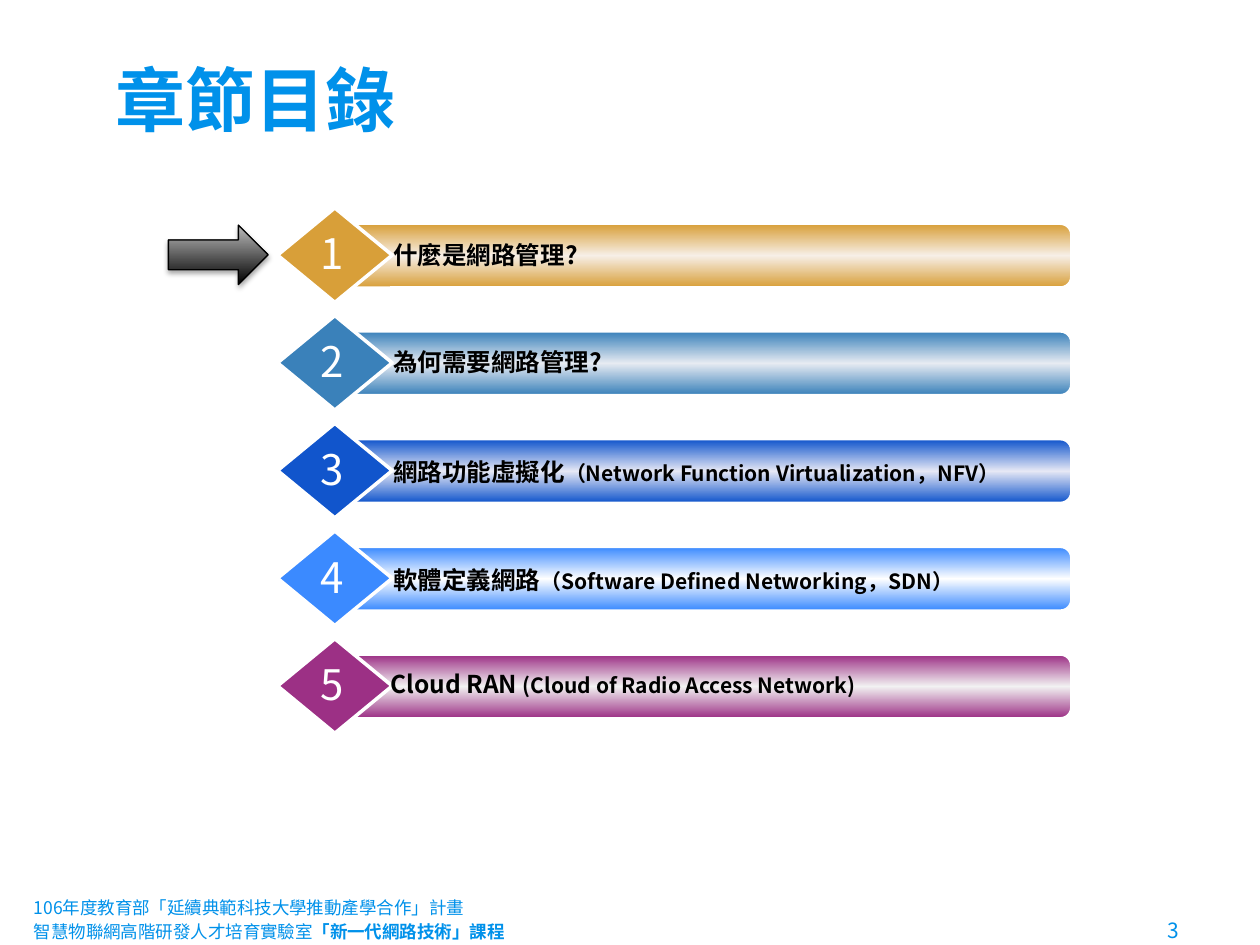
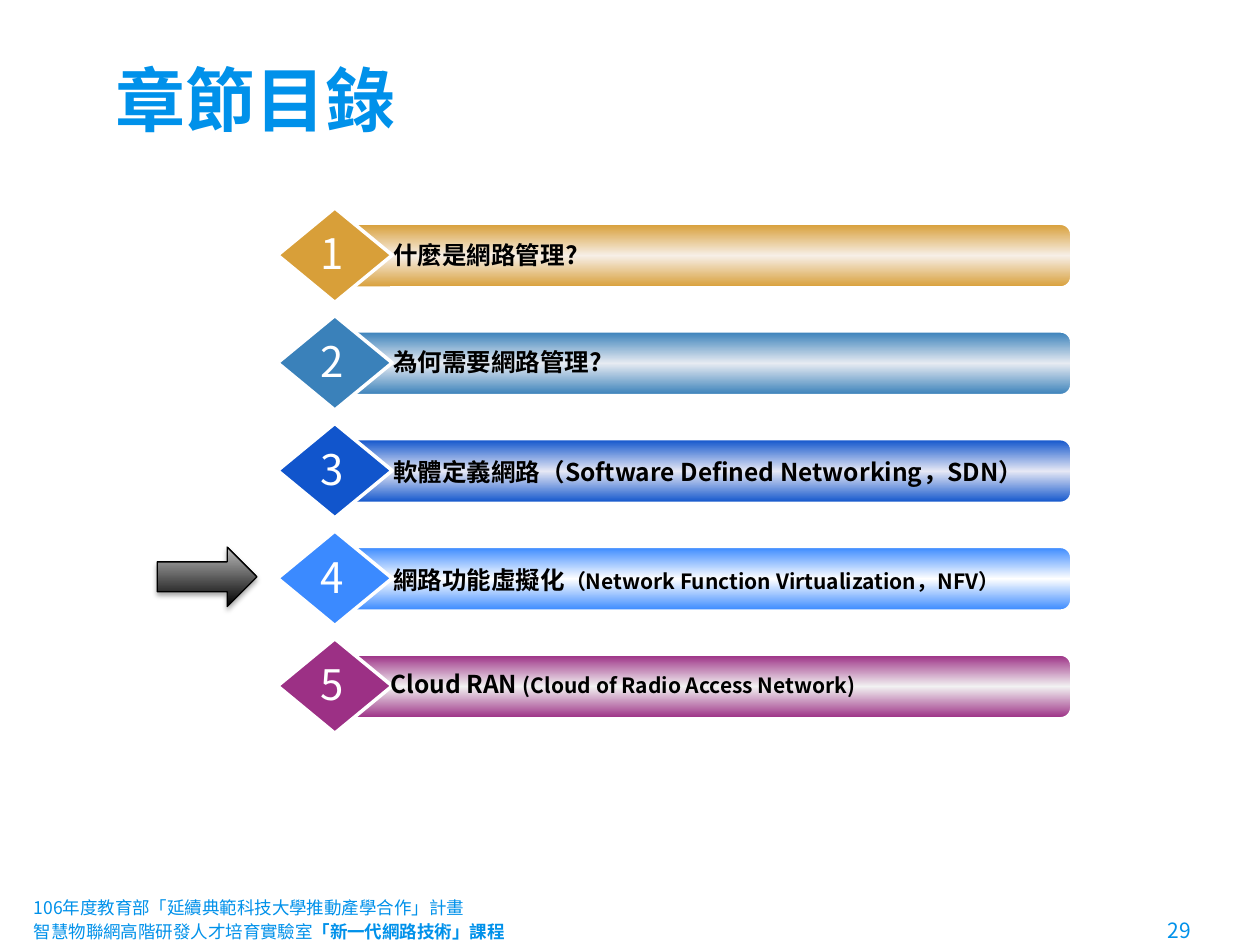
import pptx
import pptx.dml.color
import pptx.enum.shapes
import pptx.enum.text
import pptx.oxml
import pptx.oxml.ns
import pptx.util
from lxml import etree

Pt = pptx.util.Pt
RGBColor = pptx.dml.color.RGBColor
SHAPE = pptx.enum.shapes.MSO_SHAPE
ALIGN = pptx.enum.text.PP_ALIGN
ANCHOR = pptx.enum.text.MSO_ANCHOR
qn = pptx.oxml.ns.qn

# Shared style
FONT = "Noto Sans CJK SC"
SKY = RGBColor(0x00, 0x91, 0xEA)
BLACK = RGBColor(0x00, 0x00, 0x00)
WHITE = RGBColor(0xFF, 0xFF, 0xFF)
SILVER = RGBColor(0xBD, 0xBD, 0xBD)

# Edge colour and middle colour of each chapter row
ROW_COLOURS = [
    (RGBColor(0xD8, 0x9F, 0x39), RGBColor(0xF7, 0xEF, 0xE7)),
    (RGBColor(0x3A, 0x81, 0xBA), RGBColor(0xE7, 0xEB, 0xF2)),
    (RGBColor(0x11, 0x55, 0xCC), RGBColor(0xE6, 0xE8, 0xF5)),
    (RGBColor(0x3B, 0x8A, 0xFF), WHITE),
    (RGBColor(0x9C, 0x30, 0x85), RGBColor(0xF2, 0xF2, 0xF2)),
]
# Left edge of each label, and its drop below the top of the row
LABEL_PLACES = [(217.5, 15), (217.5, 14.2), (217.5, 15.8), (217.5, 15.8), (216, 13.8)]
ROW_TOP, ROW_PITCH = 118.8, 61.55

# Chapter labels: (text, size) pieces
WHAT = [("什麼是網路管理?", 14)]
WHY = [("為何需要網路管理?", 14)]
NFV = [("網路功能虛擬化", 14), ("（Network Function Virtualization，NFV）", 12)]
SDN = [("軟體定義網路", 14), ("（Software Defined Networking，SDN）", 12)]
SDN_LARGE = [("軟體定義網路（Software Defined Networking，SDN）", 14)]
CLOUD_RAN = [("Cloud RAN ", 14), ("(Cloud of Radio Access Network)", 12)]


def add_span(para, text, size, colour, bold=False):
    span = para.add_run()
    span.text = text
    span.font.name = FONT
    span.font.size = Pt(size)
    span.font.bold = bold
    span.font.color.rgb = colour
    east_asian = etree.SubElement(span.font._element, qn("a:ea"))
    east_asian.set("typeface", FONT)


def add_text(shapes, left, top, width, height, pieces, *, colour=BLACK,
             bold=False, align=ALIGN.LEFT, wrap=True):
    box = shapes.add_textbox(Pt(left), Pt(top), Pt(width), Pt(height))
    box.text_frame.word_wrap = wrap
    para = box.text_frame.paragraphs[0]
    para.alignment = align
    for text, size in pieces:
        add_span(para, text, size, colour, bold)
    return box


def add_outlined(shapes, kind, left, top, width, height, line_colour, line_width):
    shape = shapes.add_shape(kind, Pt(left), Pt(top), Pt(width), Pt(height))
    shape.shadow.inherit = False
    shape.line.color.rgb = line_colour
    shape.line.width = Pt(line_width)
    return shape


def fill_gradient(shape, colours, angle):
    """Spread the colours evenly; the angle runs clockwise in degrees."""
    shape.fill.gradient()
    gradient = shape._element.spPr.find(qn("a:gradFill"))
    stops = gradient.find(qn("a:gsLst"))
    for stop in list(stops):
        stops.remove(stop)
    for index, colour in enumerate(colours):
        stop = etree.SubElement(stops, qn("a:gs"))
        stop.set("pos", str(100000 * index // (len(colours) - 1)))
        etree.SubElement(stop, qn("a:srgbClr")).set("val", str(colour))
    gradient.find(qn("a:lin")).set("ang", str(angle * 60000))


def add_drop_shadow(shape, blur, distance, opacity):
    effects = shape._element.spPr.find(qn("a:effectLst"))
    shadow = etree.SubElement(effects, qn("a:outerShdw"))
    shadow.set("blurRad", str(Pt(blur)))
    shadow.set("dist", str(Pt(distance)))
    shadow.set("dir", str(90 * 60000))
    shadow.set("rotWithShape", "0")
    colour = etree.SubElement(shadow, qn("a:srgbClr"))
    colour.set("val", str(BLACK))
    etree.SubElement(colour, qn("a:alpha")).set("val", str(opacity * 1000))


def add_title(page, text):
    title = page.shapes.title
    title.left, title.top, title.width, title.height = Pt(59), Pt(14.4), Pt(596), Pt(73.4)
    frame = title.text_frame
    frame.margin_left = frame.margin_right = Pt(7.2)
    frame.margin_top = frame.margin_bottom = Pt(7.2)
    frame.vertical_anchor = ANCHOR.BOTTOM
    para = frame.paragraphs[0]
    para.alignment = ALIGN.LEFT
    add_span(para, text, 40, SKY, bold=True)


def add_footer(page, number):
    box = add_text(page.shapes, 12.24, 511.2, 695.5, 28.8,
                   [("106年度教育部「延續典範科技大學推動產學合作」計畫", 10)], colour=SKY)
    box.text_frame.vertical_anchor = ANCHOR.MIDDLE
    para = box.text_frame.add_paragraph()
    tabs = etree.SubElement(para._p.get_or_add_pPr(), qn("a:tabLst"))
    tab = etree.SubElement(tabs, qn("a:tab"))
    tab.set("pos", str(Pt(648)))
    tab.set("algn", "l")
    add_span(para, "智慧物聯網高階研發人才培育實驗室", 10, SKY)
    add_span(para, "「新一代網路技術」課程", 10, SKY, bold=True)
    add_span(para, f"\t{number}", 12, SKY)


def add_chapter(page, index, label):
    top = ROW_TOP + index * ROW_PITCH
    edge, middle = ROW_COLOURS[index]
    shapes = page.shapes.add_group_shape().shapes
    bar = add_outlined(shapes, SHAPE.ROUNDED_RECTANGLE, 195, top + 9.3, 417, 36, WHITE, 1)
    bar.adjustments[0] = 0.167
    fill_gradient(bar, [edge, middle, edge], 90)
    diamond = add_outlined(shapes, SHAPE.DIAMOND, 158.6, top, 65.5, 54, WHITE, 2)
    diamond.fill.solid()
    diamond.fill.fore_color.rgb = edge
    add_text(shapes, 175.5, top + 7.9, 29, 36.4, [(str(index + 1), 24)],
             colour=WHITE, align=ALIGN.CENTER, wrap=False)
    left, drop = LABEL_PLACES[index]
    add_text(shapes, left, top + drop, 389.5, 24.5, label, bold=True, align=ALIGN.JUSTIFY)


def add_current_arrow(page, left, top):
    arrow = add_outlined(page.shapes, SHAPE.RIGHT_ARROW, left, top, 57, 34, BLACK, 0.75)
    fill_gradient(arrow, [BLACK, SILVER], 270)
    add_drop_shadow(arrow, blur=3.1, distance=1.8, opacity=35)


def add_contents_page(deck, number, chapters, arrow_place):
    page = deck.slides.add_slide(deck.slide_layouts[5])
    add_title(page, "章節目錄")
    for index, label in enumerate(chapters):
        add_chapter(page, index, label)
    add_current_arrow(page, *arrow_place)
    add_footer(page, number)


def main():
    deck = pptx.Presentation()
    deck.slide_width, deck.slide_height = Pt(720), Pt(540)
    add_contents_page(deck, 3, [WHAT, WHY, NFV, SDN, CLOUD_RAN], (96.2, 128.6))
    add_contents_page(deck, 29, [WHAT, WHY, SDN_LARGE, NFV, CLOUD_RAN], (89.8, 312.6))
    deck.save("out.pptx")


if __name__ == "__main__":
    main()
